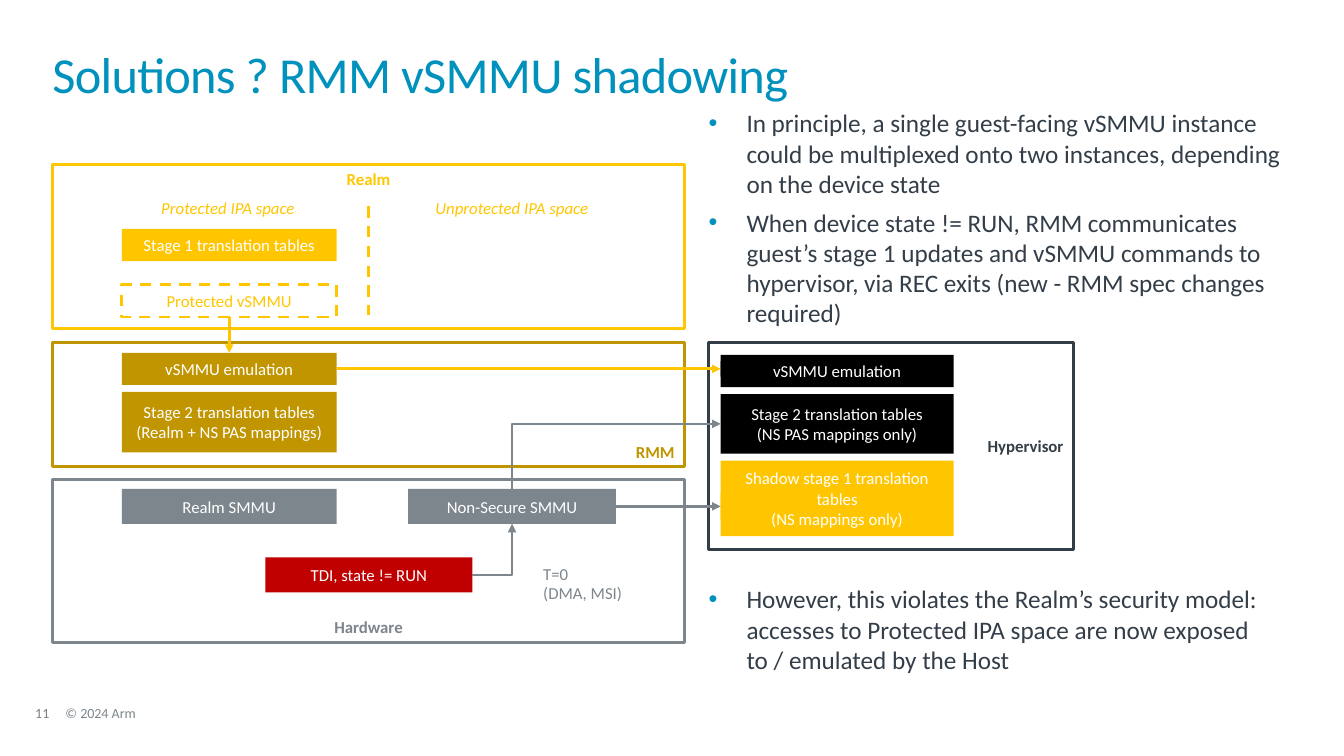
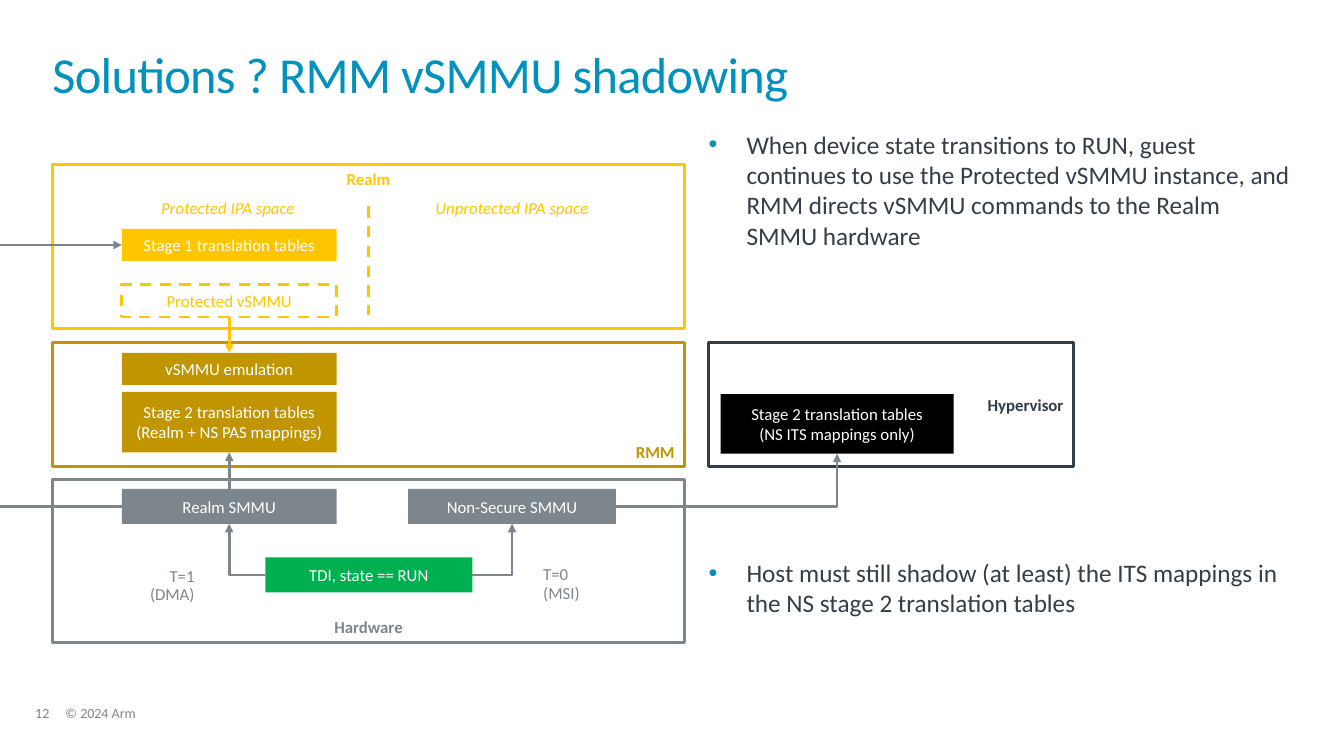
"""Build two slides that explain RMM vSMMU shadowing."""
import lxml.etree
import pptx
import pptx.dml.color
import pptx.enum.dml
import pptx.enum.shapes
import pptx.enum.text
import pptx.oxml.ns
import pptx.util

Pt = pptx.util.Pt
RGBColor = pptx.dml.color.RGBColor
ALIGN = pptx.enum.text.PP_ALIGN
ANCHOR = pptx.enum.text.MSO_ANCHOR
CONNECTOR = pptx.enum.shapes.MSO_CONNECTOR
DASH = pptx.enum.dml.MSO_LINE.DASH
qn = pptx.oxml.ns.qn

BLUE = RGBColor(0x00, 0x91, 0xBD)
INK = RGBColor(0x33, 0x3E, 0x48)
SLATE = RGBColor(0x33, 0x3D, 0x48)
GRAY = RGBColor(0x7D, 0x86, 0x8C)
PAGE_GRAY = RGBColor(0x7F, 0x7F, 0x7F)
YELLOW = RGBColor(0xFF, 0xC6, 0x00)
REALM_YELLOW = RGBColor(0xFF, 0xC7, 0x00)
GOLD = RGBColor(0xC0, 0x95, 0x00)
RED = RGBColor(0xC0, 0x00, 0x00)
GREEN = RGBColor(0x00, 0xB0, 0x50)
BLACK = RGBColor(0x00, 0x00, 0x00)
WHITE = RGBColor(0xFF, 0xFF, 0xFF)

TOP, LEFT, BOTTOM, RIGHT = range(4)
LINE_WIDTH = 2
FRAME_LEFT, FRAME_WIDTH = 37.5, 451.5
REALM_LEFT, REALM_WIDTH = 87, 153.5
HOST_LEFT, HOST_WIDTH = 514.8, 166.3
TEXT_LEFT, TEXT_WIDTH = 506.2, 416.2
ROW_HEIGHT, HARDWARE_HEIGHT = 23, 25


def apply(target, values):
    """Set each named attribute of the target."""
    for name, value in values.items():
        setattr(target, name, value)


class Deck:
    """Holds the presentation, its style and the current slide."""

    def __init__(self):
        """Start an empty widescreen presentation."""
        self.presentation = pptx.Presentation()
        apply(self.presentation, {"slide_width": Pt(960), "slide_height": Pt(540)})
        self.slide = None

    def new_slide(self, title, number):
        """Add a slide with its title and footer."""
        self.slide = self.presentation.slides.add_slide(self.presentation.slide_layouts[6])
        self.label(str(number), 25.2, 504.7, 24.5, 11, PAGE_GRAY, size=10)
        self.label("© 2024 Arm", 46.8, 504.7, 365, 11, GRAY, size=10)
        heading = self.label(title, FRAME_LEFT, 37.5, 884, 40, BLUE, size=36, spacing=0.85)
        for run in heading.text_frame.paragraphs[0].runs:
            run.font._element.set("spc", "-50")

    def set_text(self, shape, text, color, align, spacing=1.0, size=12, bold=False, italic=False):
        """Fill a shape with one paragraph per line."""
        shape.text_frame.text = text
        values = {"size": Pt(size), "name": "Calibri", "bold": bold, "italic": italic}
        for paragraph in shape.text_frame.paragraphs:
            apply(paragraph, {"alignment": align, "line_spacing": spacing})
            for run in paragraph.runs:
                apply(run.font, values)
                run.font.color.rgb = color

    def text_box(self, left, top, width, height, wrap):
        """Add a text box without margins."""
        shape = self.slide.shapes.add_textbox(Pt(left), Pt(top), Pt(width), Pt(height))
        apply(shape.text_frame, {"word_wrap": wrap, "margin_left": 0, "margin_right": 0,
                                 "margin_top": 0, "margin_bottom": 0})
        return shape

    def label(self, text, left, top, width, height, color, align=ALIGN.LEFT, spacing=0.9, **style):
        """Add a short text that does not wrap."""
        shape = self.text_box(left, top, width, height, False)
        self.set_text(shape, text, color, align, spacing, **style)
        return shape

    def bullets(self, text, top, height):
        """Add bulleted paragraphs in the right column."""
        shape = self.text_box(TEXT_LEFT, top, TEXT_WIDTH, height, True)
        self.set_text(shape, text, INK, ALIGN.LEFT, size=18)
        for index, paragraph in enumerate(shape.text_frame.paragraphs):
            paragraph.space_before = Pt(6 if index else 0)
            properties = paragraph._p.get_or_add_pPr()
            properties.set("marL", str(Pt(27)))
            properties.set("indent", str(-Pt(27)))
            color = lxml.etree.SubElement(properties, qn("a:buClr"))
            lxml.etree.SubElement(color, qn("a:srgbClr")).set("val", str(BLUE))
            lxml.etree.SubElement(properties, qn("a:buFont")).set("typeface", "Arial")
            lxml.etree.SubElement(properties, qn("a:buChar")).set("char", "•")

    def box(self, text, left, top, width, height, fill=None, line=None, dash=None,
            color=WHITE, align=ALIGN.CENTER, anchor=ANCHOR.MIDDLE, bold=False):
        """Add a rectangle with text."""
        shape = self.slide.shapes.add_shape(pptx.enum.shapes.MSO_SHAPE.RECTANGLE,
                                            Pt(left), Pt(top), Pt(width), Pt(height))
        shape.shadow.inherit = False
        if fill is None:
            shape.fill.background()
        else:
            shape.fill.solid()
            shape.fill.fore_color.rgb = fill
        if line is None:
            shape.line.fill.background()
        else:
            shape.line.color.rgb = line
            apply(shape.line, {"width": Pt(LINE_WIDTH), "dash_style": dash})
        apply(shape.text_frame, {"word_wrap": True, "vertical_anchor": anchor})
        if text:
            self.set_text(shape, text, color, align, bold=bold)
        return shape

    def frame(self, text, left, top, width, height, color, align, anchor, fill=None):
        """Add an outlined region with a bold name."""
        return self.box(text, left, top, width, height, fill, color, None, color, align, anchor, True)

    def line(self, start, end, color, arrow=None, dash=None, bent=False):
        """Add a connector between two points given in EMU."""
        kind = CONNECTOR.ELBOW if bent else CONNECTOR.STRAIGHT
        connector = self.slide.shapes.add_connector(kind, *start, *end)
        connector.line.color.rgb = color
        apply(connector.line, {"width": Pt(LINE_WIDTH), "dash_style": dash})
        properties = connector._element.spPr
        if bent:
            properties.find(qn("a:prstGeom")).set("prst", "bentConnector2")
        if arrow:
            lxml.etree.SubElement(properties.find(qn("a:ln")), qn(arrow)).set("type", "triangle")
        lxml.etree.SubElement(properties, qn("a:effectLst"))
        return connector

    def connect(self, start, start_side, end, end_side, color=GRAY, arrow="a:tailEnd", bent=False):
        """Join the sides of two shapes with an arrow."""
        connector = self.line(side_point(start, start_side), side_point(end, end_side),
                              color, arrow, bent=bent)
        connector.begin_connect(start, start_side)
        connector.end_connect(end, end_side)

    def edge_line(self, shape, arrow=None):
        """Run a line from the slide edge to the left side of a shape."""
        end = side_point(shape, LEFT)
        self.line((0, end[1]), end, GRAY, arrow).end_connect(shape, LEFT)

    def realm_box(self, text, top, height, fill=None, **style):
        """Add a box in the Realm column."""
        return self.box(text, REALM_LEFT, top, REALM_WIDTH, height, fill, **style)

    def host_box(self, text, top, height, fill):
        """Add a box in the hypervisor column."""
        return self.box(text, HOST_LEFT, top, HOST_WIDTH, height, fill)

    def diagram(self, device, device_color, traffic, host_height, host_mappings):
        """Draw the parts both slides share and return the boxes to join."""
        self.frame("Hardware", FRAME_LEFT, 342.7, FRAME_WIDTH, 116, GRAY,
                   ALIGN.CENTER, ANCHOR.BOTTOM, WHITE)
        self.frame("Realm", FRAME_LEFT, 117.3, FRAME_WIDTH, 117.3, REALM_YELLOW,
                   ALIGN.CENTER, ANCHOR.TOP, WHITE)
        self.frame("RMM", FRAME_LEFT, 244.8, FRAME_WIDTH, 88.6, GOLD, ALIGN.RIGHT, ANCHOR.BOTTOM)
        self.frame("Hypervisor", TEXT_LEFT, 244.8, 260.6, host_height, SLATE,
                   ALIGN.RIGHT, ANCHOR.MIDDLE)
        self.line((Pt(263), Pt(147.5)), (Pt(263), Pt(224.8)), YELLOW, dash=DASH)
        self.label("Protected IPA space", 115.2, 142.5, 96.5, 13, YELLOW, italic=True)
        self.label("Unprotected IPA space", 311, 142.5, 110, 13, YELLOW, italic=True)
        self.label(f"T=0\n({traffic})", 388, 404.6, 57, 26, GRAY)
        boxes = {
            "stage 1": self.realm_box("Stage 1 translation tables", 163.5, ROW_HEIGHT, YELLOW),
            "protected": self.realm_box("Protected vSMMU", 203.5, ROW_HEIGHT,
                                        line=YELLOW, dash=DASH, color=YELLOW),
            "emulation": self.realm_box("vSMMU emulation", 252, ROW_HEIGHT, GOLD),
            "stage 2": self.realm_box("Stage 2 translation tables\n(Realm + NS PAS mappings)",
                                      280, 43.2, GOLD),
            "realm": self.realm_box("Realm SMMU", 349.2, HARDWARE_HEIGHT, GRAY),
            "non-secure": self.box("Non-Secure SMMU", 291.6, 349.2, 148.4, HARDWARE_HEIGHT, GRAY),
            "device": self.box(device, 189.5, 398.2, 148, HARDWARE_HEIGHT, device_color),
            "host stage 2": self.host_box(f"Stage 2 translation tables\n({host_mappings})",
                                          281.5, 42.6, BLACK),
        }
        self.connect(boxes["protected"], BOTTOM, boxes["emulation"], TOP, YELLOW)
        self.connect(boxes["device"], RIGHT, boxes["non-secure"], BOTTOM, bent=True)
        return boxes


def side_point(shape, side):
    """Return the middle of one side of a shape."""
    center = shape.left + shape.width // 2
    middle = shape.top + shape.height // 2
    return ((center, shape.top), (shape.left, middle),
            (center, shape.top + shape.height), (shape.left + shape.width, middle))[side]


def add_shadowing_slide(deck):
    """Show the device before it reaches the RUN state."""
    deck.new_slide("Solutions ? RMM vSMMU shadowing", 11)
    boxes = deck.diagram("TDI, state != RUN", RED, "DMA, MSI", 147.6, "NS PAS mappings only")
    deck.host_box("vSMMU emulation", 253.5, ROW_HEIGHT, BLACK)
    deck.host_box("Shadow stage 1 translation tables\n(NS mappings only)", 329, 54, YELLOW)
    emulation_port = deck.box("", HOST_LEFT, 258, 17, 11, BLACK)
    shadow_port = deck.box("", HOST_LEFT, 352.2, 21, 19, YELLOW)
    deck.connect(boxes["emulation"], RIGHT, emulation_port, LEFT, YELLOW)
    deck.connect(boxes["non-secure"], RIGHT, shadow_port, LEFT)
    deck.connect(boxes["host stage 2"], LEFT, boxes["non-secure"], TOP, arrow="a:headEnd", bent=True)
    deck.bullets("In principle, a single guest-facing vSMMU instance could be multiplexed onto "
                 "two instances, depending on the device state\n"
                 "When device state != RUN, RMM communicates guest’s stage 1 updates and vSMMU "
                 "commands to hypervisor, via REC exits (new - RMM spec changes required)", 77, 119)
    deck.bullets("However, this violates the Realm’s security model: accesses to Protected IPA "
                 "space are now exposed to / emulated by the Host", 417, 72)


def add_run_slide(deck):
    """Show the device in the RUN state."""
    deck.new_slide("Solutions ? RMM vSMMU shadowing", 12)
    boxes = deck.diagram("TDI, state == RUN", GREEN, "MSI", 88.6, "NS ITS mappings only")
    deck.label("T=1\n(DMA)", 106.6, 405.4, 32.4, 26, GRAY, ALIGN.RIGHT)
    deck.connect(boxes["non-secure"], RIGHT, boxes["host stage 2"], BOTTOM, bent=True)
    deck.connect(boxes["device"], LEFT, boxes["realm"], BOTTOM, bent=True)
    deck.connect(boxes["realm"], TOP, boxes["stage 2"], BOTTOM)
    deck.edge_line(boxes["realm"])
    deck.edge_line(boxes["stage 1"], "a:tailEnd")
    deck.bullets("When device state transitions to RUN, guest continues to use the Protected "
                 "vSMMU instance, and RMM directs vSMMU commands to the Realm SMMU hardware", 92.2, 140)
    deck.bullets("Host must still shadow (at least) the ITS mappings in the NS stage 2 "
                 "translation tables", 398.2, 93)


def main():
    """Build and save the presentation."""
    deck = Deck()
    add_shadowing_slide(deck)
    add_run_slide(deck)
    deck.presentation.save("out.pptx")


if __name__ == "__main__":
    main()
